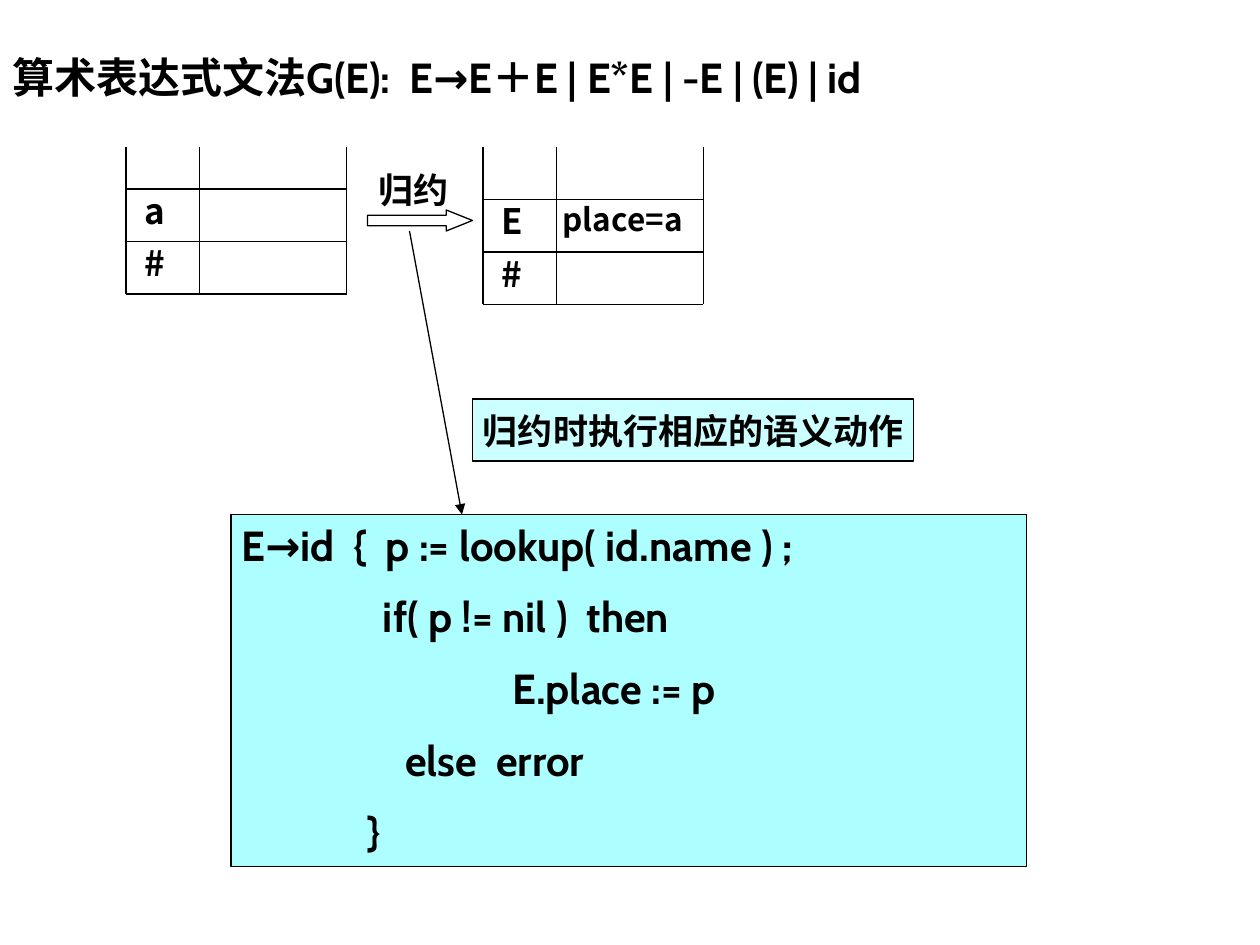
import lxml.etree
import pptx
import pptx.dml.color
import pptx.enum.shapes
import pptx.enum.text
import pptx.oxml.ns
import pptx.util

THEME = {
    "ink": pptx.dml.color.RGBColor.from_string("000000"),
    "code_fill": pptx.dml.color.RGBColor.from_string("ADFFFF"),
    "note_fill": pptx.dml.color.RGBColor.from_string("CCFFFF"),
    "line": pptx.util.Pt(0.75),
    "body": "Cabin",
    "note": "Times New Roman",
    "cjk": "Noto Sans CJK SC",
    "large": 24,
    "medium": 20,
    "small": 18,
}
SHAPE = pptx.enum.shapes.MSO_SHAPE
ANCHOR = pptx.enum.text.MSO_ANCHOR
qn = pptx.oxml.ns.qn

prs = pptx.Presentation()
prs.slide_width = pptx.util.Inches(10)
prs.slide_height = pptx.util.Inches(7.5)
s = prs.slides.add_slide(prs.slide_layouts[6])
unit = prs.slide_width / 120


def write(sp, lines, font, size, margins, anchor=ANCHOR.TOP, wrap=False, spacing=None, before=0, tabs=()):
    tf = sp.text_frame
    left, top, right, bottom = [round(m * unit) for m in margins]
    frame_format = {
        "margin_left": left, "margin_top": top, "margin_right": right,
        "margin_bottom": bottom, "vertical_anchor": anchor, "word_wrap": wrap,
    }
    for name, value in frame_format.items():
        setattr(tf, name, value)
    for i, line in enumerate(lines):
        p = tf.paragraphs[0] if i == 0 else tf.add_paragraph()
        p.alignment = pptx.enum.text.PP_ALIGN.LEFT
        p.line_spacing = spacing
        p.space_before = pptx.util.Pt(before if i else 0)
        if tabs:
            stops = lxml.etree.SubElement(p._p.get_or_add_pPr(), qn("a:tabLst"))
            for tab in tabs:
                lxml.etree.SubElement(stops, qn("a:tab"), pos=str(round(tab * unit)), algn="l")
        r = p.add_run()
        r.text = line
        for name, value in {"name": font, "size": pptx.util.Pt(size), "bold": True}.items():
            setattr(r.font, name, value)
        r.font.color.rgb = THEME["ink"]
        lxml.etree.SubElement(r._r.get_or_add_rPr(), qn("a:ea"), typeface=THEME["cjk"])


def connect(x1, y1, x2, y2):
    ends = [round(v * unit) for v in (x1, y1, x2, y2)]
    line = s.shapes.add_connector(pptx.enum.shapes.MSO_CONNECTOR.STRAIGHT, *ends)
    line.line.color.rgb = THEME["ink"]
    line.line.width = THEME["line"]
    lxml.etree.SubElement(line._element.spPr, qn("a:effectLst"))
    return line


title = s.shapes.add_textbox(*[round(v * unit) for v in (0, 4.3, 111, 6)])
write(title, ["算术表达式文法G(E):  E→E＋E | E*E | -E | (E) | id"],
      THEME["body"], THEME["large"], (1.2, 0, 1.2, 0), ANCHOR.MIDDLE, True)

code = [
    "E→id  {  p := lookup( id.name ) ;",
    "               if( p != nil )  then",
    "\t\t  E.place := p",
    "\t    else  error",
    "\t}",
]
panels = [
    (SHAPE.RECTANGLE, (22, 49, 75.8, 33.5), THEME["code_fill"]),
    (SHAPE.RECTANGLE, (45, 38, 42, 5.9), THEME["note_fill"]),
    (SHAPE.RIGHT_ARROW, (35, 20, 10, 2), None),
]
shapes = []
for kind, box, fill in panels:
    sp = s.shapes.add_shape(kind, *[round(v * unit) for v in box])
    sp.shadow.inherit = False
    sp.line.color.rgb = THEME["ink"]
    sp.line.width = THEME["line"]
    if fill is None:
        sp.fill.background()
    else:
        sp.fill.solid()
        sp.fill.fore_color.rgb = fill
    shapes.append(sp)
code_box, note_box, arrow = shapes
arrow.adjustments[1] = 1.25
write(code_box, code, THEME["body"], THEME["large"], (1, 1, 0, 1),
      wrap=True, spacing=0.9, before=15, tabs=(12, 24))
write(note_box, ["归约时执行相应的语义动作"], THEME["note"], THEME["medium"], (1, 1, 1, 1))

pointer = connect(39, 22, 44, 49)
lxml.etree.SubElement(pointer.line._get_or_add_ln(), qn("a:tailEnd"), type="triangle")

stack_top, row, columns = 14, 5, (0, 7, 21)
for left, bottom in ((12, 28), (46, 29)):
    for x in columns:
        connect(left + x, stack_top, left + x, bottom)
    for level in range(3):
        y = bottom - level * row
        connect(left, y, left + columns[-1], y)

labels = [
    ("#", 13.8, 23, 2.2, "medium"),
    ("a", 13.8, 18, 2.2, "medium"),
    ("归约", 36, 16, 6.7, "medium"),
    ("#", 47.8, 24, 2.2, "medium"),
    ("E", 47.8, 19, 2.2, "medium"),
    ("place=a", 53.6, 19, 11.5, "small"),
]
for text, x, y, width, size in labels:
    sp = s.shapes.add_textbox(*[round(v * unit) for v in (x, y, width, 4)])
    write(sp, [text], THEME["cjk"], THEME[size], (0, 0, 0, 0))

prs.save("out.pptx")
